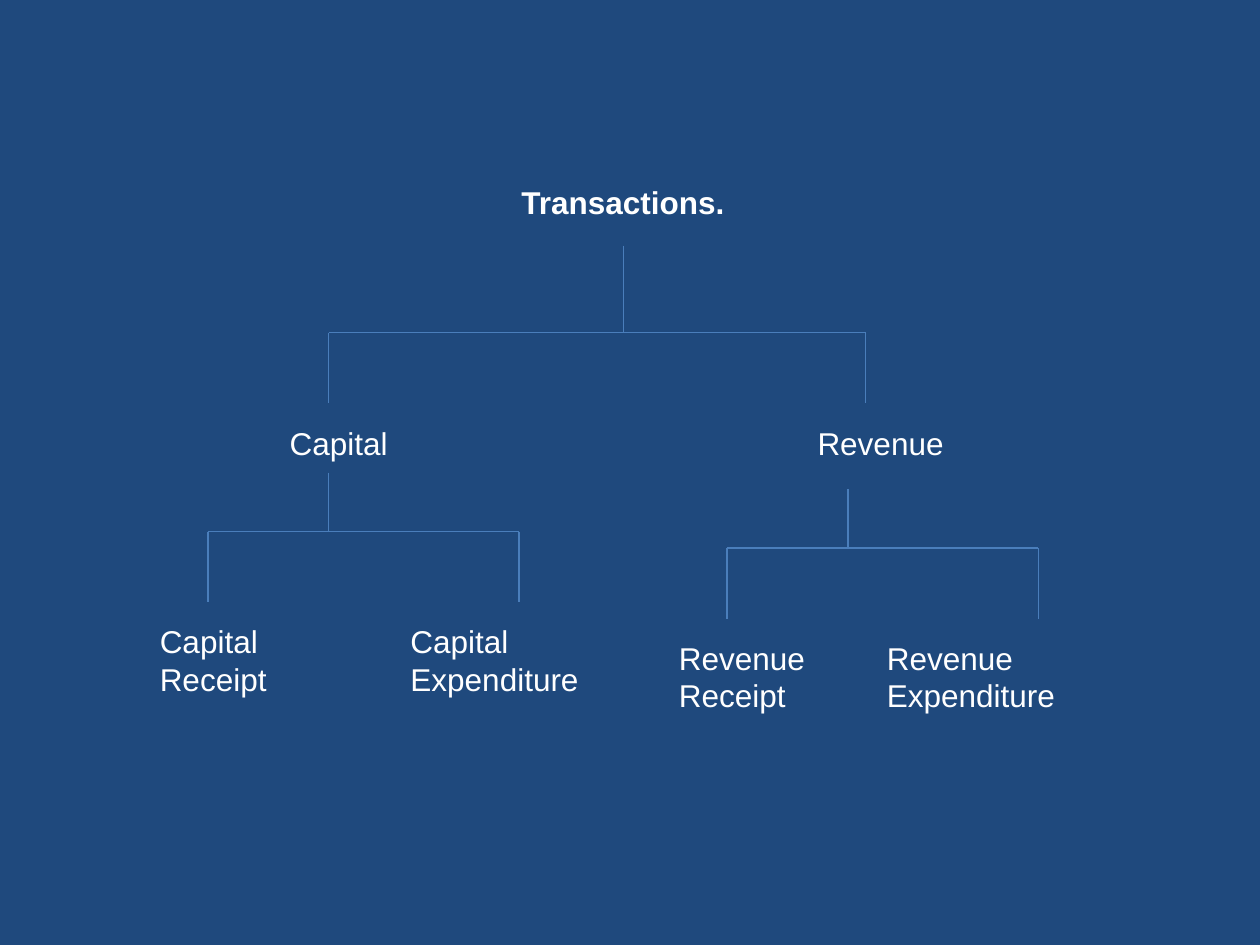
import pptx
import pptx.dml.color
import pptx.enum.shapes
import pptx.enum.text
import pptx.oxml.ns
import pptx.util
import lxml.etree

COLORS = {"background": "1F497D", "line": "4A7EBB", "text": "FFFFFF"}
COLUMNS, ROWS = 100, 75

deck = pptx.Presentation()
deck.slide_width = pptx.util.Inches(10)
deck.slide_height = pptx.util.Inches(7.5)


def color(name):
    return pptx.dml.color.RGBColor.from_string(COLORS[name])


def across(columns):
    return round(deck.slide_width * columns / COLUMNS)


def down(rows):
    return round(deck.slide_height * rows / ROWS)


def add_label(page, text, box, bold=False, wrap=True):
    left, top, width, height = box
    label = page.shapes.add_textbox(across(left), down(top), across(width), down(height))
    frame = label.text_frame
    frame.word_wrap = wrap
    frame.auto_size = pptx.enum.text.MSO_AUTO_SIZE.SHAPE_TO_FIT_TEXT
    frame.text = text
    font = frame.paragraphs[0].runs[0].font
    font.name, font.size, font.bold = "Arial", pptx.util.Pt(18), bold
    font.color.rgb = color("text")


def add_line(page, x1, y1, x2, y2):
    line = page.shapes.add_connector(
        pptx.enum.shapes.MSO_CONNECTOR.STRAIGHT,
        across(x1), down(y1), across(x2), down(y2))
    line.line.color.rgb = color("line")
    line.line.width = pptx.util.Pt(0.75)
    properties = line._element.spPr
    lxml.etree.SubElement(properties, pptx.oxml.ns.qn("a:effectLst"))


def add_fork(page, box, stem, drop=5.6):
    """Stem down to a crossbar with a drop at each end; stem is its offset from the left."""
    left, top, width, height = box
    right, bottom = left + width, top + height
    bar = bottom - drop
    add_line(page, left + stem, top, left + stem, bar)
    add_line(page, left, bar, right, bar)
    for x in (left, right):
        add_line(page, x, bar, x, bottom)


def add_root(page, box):
    left, top, width, height = box
    add_label(page, "Transactions.", (left + 14.3, top, 18.2, 4), bold=True, wrap=False)
    add_fork(page, (left, top + 5.5, width, height - 5.5), stem=23.4)


def add_category(page, name, box, heading_left, expenditure_left):
    left, top, width, height = box
    add_label(page, name, (heading_left, 33.2, 18.6, 4))
    add_fork(page, box, stem=9.6)
    leaf_top = top + height + 1.1
    add_label(page, f"{name} Receipt", (left - 4.8, leaf_top, 18.6, 7))
    add_label(page, f"{name} Expenditure", (expenditure_left, leaf_top, 20.6, 7))


def build_tree_slide():
    page = deck.slides.add_slide(deck.slide_layouts[6])
    fill = page.background.fill
    fill.solid()
    fill.fore_color.rgb = color("background")

    # Root and its two categories
    add_root(page, (26.1, 14, 42.6, 18))
    add_category(page, "Capital", (16.5, 37.5, 24.7, 10.3), 22, 31.6)
    add_category(page, "Revenue", (57.7, 38.8, 24.7, 10.3), 63.9, 69.4)


if __name__ == "__main__":
    build_tree_slide()
    deck.save("out.pptx")
